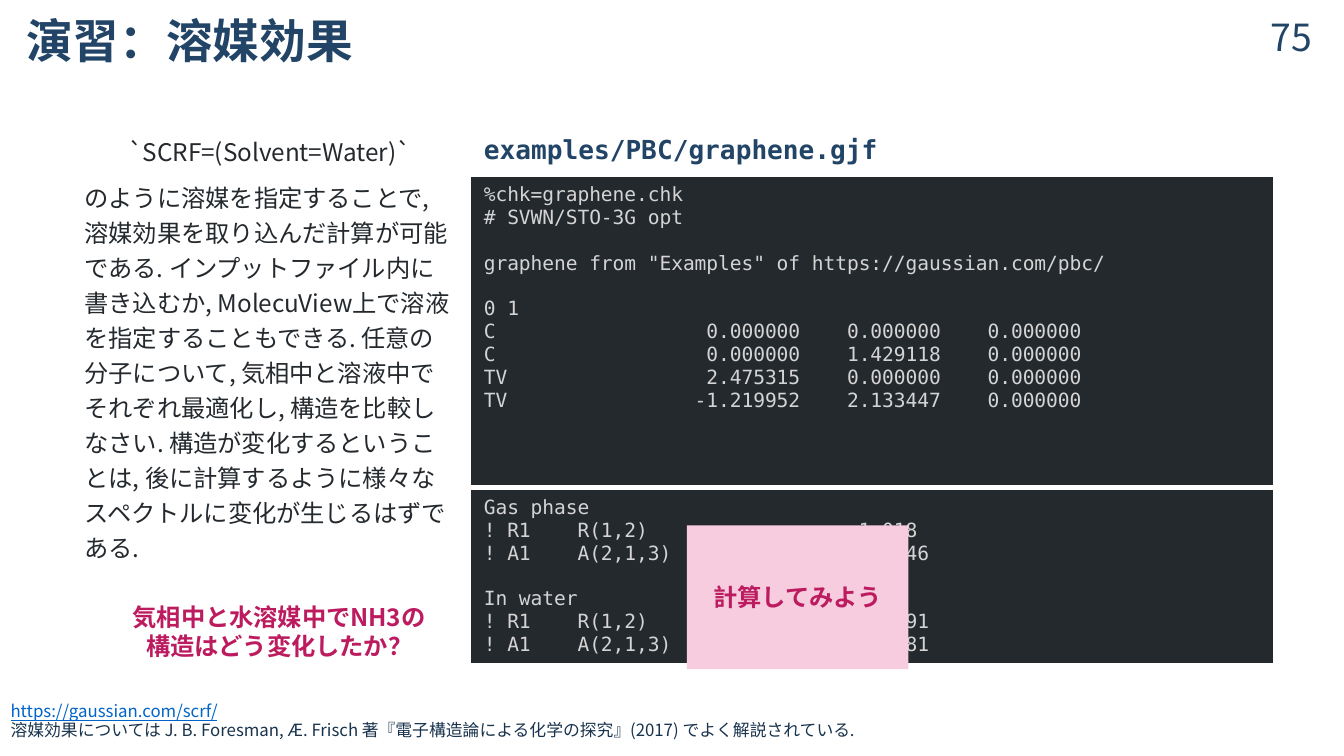
from dataclasses import dataclass

from lxml import etree
from pptx import Presentation
from pptx.dml.color import RGBColor
from pptx.enum.shapes import MSO_SHAPE
from pptx.enum.text import MSO_ANCHOR, PP_ALIGN
from pptx.oxml.ns import qn
from pptx.util import Cm, Pt

TOP, MIDDLE, BOTTOM = MSO_ANCHOR.TOP, MSO_ANCHOR.MIDDLE, MSO_ANCHOR.BOTTOM
LEFT, CENTER = PP_ALIGN.LEFT, PP_ALIGN.CENTER
RECTANGLE = MSO_SHAPE.RECTANGLE

SANS, MONO = "Noto Sans CJK JP", "DejaVu Sans Mono"
COLORS = {
    "heading": "224466", "body": "24292E", "link": "0064C8", "note": "19334D",
    "accent": "BC1C5F", "cover": "F7CCDE", "code": "D4D4D4",
    "code_back": "24292E", "border": "FFFFFF",
}


@dataclass(frozen=True)
class Style:
    size: float
    color: str
    face: str = SANS
    bold: bool = False
    underline: bool = False
    align: PP_ALIGN = LEFT
    spacing: float | Pt | None = None
    after: float = 0


@dataclass(frozen=True)
class Line:
    text: str
    style: Style


@dataclass(frozen=True)
class Box:
    area: tuple[float, float, float, float]  # left, top, width, height in cm
    lines: list[Line]
    anchor: MSO_ANCHOR = MIDDLE
    margins: tuple[float, float, float, float] = (0.25, 0.13, 0.25, 0.13)
    fill: str | None = None


@dataclass(frozen=True)
class Row:
    height: float
    lines: list[Line]
    anchor: MSO_ANCHOR = MIDDLE
    fill: str | None = None
    borders: tuple[tuple[str, float], ...] = ()


def rgb(key: str) -> RGBColor:
    return RGBColor.from_string(COLORS[key])


def write(frame, lines: list[Line]) -> None:
    for index, line in enumerate(lines):
        paragraph = frame.add_paragraph() if index else frame.paragraphs[0]
        style = line.style
        paragraph.alignment = style.align
        paragraph.line_spacing = style.spacing
        paragraph.space_after = Pt(style.after)
        font = paragraph.font
        font.size, font.bold, font.underline = Pt(style.size), style.bold, style.underline
        font.color.rgb = rgb(style.color)
        font.name = style.face
        east_asian = etree.SubElement(paragraph._p.pPr.find(qn("a:defRPr")), qn("a:ea"))
        east_asian.set("typeface", style.face)
        if line.text:
            paragraph.add_run().text = line.text
        else:  # an empty code line keeps the code's line height
            end = etree.SubElement(paragraph._p, qn("a:endParaRPr"), sz=str(int(style.size * 100)))
            etree.SubElement(end, qn("a:latin"), typeface=style.face)


def draw_box(slide, box: Box) -> None:
    area = [Cm(value) for value in box.area]
    if box.fill:
        shape = slide.shapes.add_shape(RECTANGLE, *area)
        shape.shadow.inherit = False
        shape.fill.solid()
        shape.fill.fore_color.rgb = rgb(box.fill)
        shape.line.fill.background()
    else:
        shape = slide.shapes.add_textbox(*area)
    frame = shape.text_frame
    frame.word_wrap = True
    frame.vertical_anchor = box.anchor
    (frame.margin_left, frame.margin_top,
     frame.margin_right, frame.margin_bottom) = [Cm(value) for value in box.margins]
    write(frame, box.lines)


def set_borders(cell, borders: tuple[tuple[str, float], ...]) -> None:
    properties = cell._tc.get_or_add_tcPr()
    for index, (side, width) in enumerate(borders):
        border = etree.Element(qn(f"a:ln{side}"), w=str(Pt(width)))
        fill = etree.SubElement(border, qn("a:solidFill"))
        etree.SubElement(fill, qn("a:srgbClr"), val=COLORS["border"])
        properties.insert(index, border)


def draw_table(slide, left: float, top: float, width: float, rows: list[Row]) -> None:
    height = sum(row.height for row in rows)
    table = slide.shapes.add_table(len(rows), 1, Cm(left), Cm(top), Cm(width), Cm(height)).table
    table.first_row = table.horz_banding = False
    for index, row in enumerate(rows):
        table.rows[index].height = Cm(row.height)
        cell = table.cell(index, 0)
        cell.vertical_anchor = row.anchor
        if row.fill:
            cell.fill.solid()
            cell.fill.fore_color.rgb = rgb(row.fill)
        else:
            cell.fill.background()
        set_borders(cell, row.borders)
        write(cell.text_frame, row.lines)


def code_lines(code: str) -> list[Line]:
    style = Style(10.5, "code", MONO)
    return [Line(text, style) for text in code.strip("\n").split("\n")]


INPUT_FILE = """
%chk=graphene.chk
# SVWN/STO-3G opt

graphene from "Examples" of https://gaussian.com/pbc/

0 1
C                  0.000000    0.000000    0.000000
C                  0.000000    1.429118    0.000000
TV                 2.475315    0.000000    0.000000
TV                -1.219952    2.133447    0.000000
"""
RESULTS = """
Gas phase
! R1    R(1,2)                  1.018
! A1    A(2,1,3)              105.7446

In water
! R1    R(1,2)                  1.0191
! A1    A(2,1,3)              104.7781
"""
EXPLANATION = (
    "のように溶媒を指定することで, 溶媒効果を取り込んだ計算が可能である. "
    "インプットファイル内に書き込むか, MolecuView上で溶液を指定することもできる. "
    "任意の分子について, 気相中と溶液中でそれぞれ最適化し, 構造を比較しなさい. "
    "構造が変化するということは, 後に計算するように様々なスペクトルに変化が生じるはずである."
)
ACCENT = Style(13, "accent", bold=True, align=CENTER)

# Explanation, footnote, title and page number
TEXTS = [
    Box((1.3, 2.34, 7.59, 8.48), [
        Line("`SCRF=(Solvent=Water)`", Style(13, "body", align=CENTER, spacing=1.2, after=6)),
        Line(EXPLANATION, Style(13, "body", spacing=1.2, after=6)),
    ], TOP, (0.3, 0.15, 0.3, 0.15)),
    Box((0, 12.98, 25.4, 1.3), [
        Line("https://gaussian.com/scrf/", Style(9, "link", underline=True, spacing=Pt(10))),
        Line("溶媒効果については J. B. Foresman, Æ. Frisch 著『電子構造論による化学の探究』"
             "(2017) でよく解説されている.", Style(9, "note", spacing=Pt(10))),
    ], MIDDLE, (0.2, 0.2, 0.2, 0.2)),
    Box((0, 0, 25.4, 1.3), [Line("演習：溶媒効果", Style(25, "heading", bold=True, spacing=0.9))],
        BOTTOM, (0.5, 0, 0, 0)),
    Box((23.6, 0, 1.6, 1.3), [Line("75", Style(20, "heading", align=CENTER))],
        MIDDLE, (0, 0.1, 0, 0)),
]

# File name, input file and results
CODE_ROWS = [
    Row(1, [Line("examples/PBC/graphene.gjf", Style(14, "heading", MONO, bold=True))]),
    Row(5.87, code_lines(INPUT_FILE), TOP, "code_back", (("L", 1), ("R", 1), ("B", 3))),
    Row(3.23, code_lines(RESULTS), MIDDLE, "code_back",
        (("L", 1), ("R", 1), ("T", 3), ("B", 2.25))),
]

# Question, and the cover over the results
QUESTION = [
    Box((1.63, 11.25, 7.29, 1.37), [
        Line("気相中と水溶媒中でNH3の", ACCENT),
        Line("構造はどう変化したか？", ACCENT),
    ]),
    Box((12.98, 9.93, 4.19, 2.72), [Line("計算してみよう", ACCENT)], fill="cover"),
]


def main() -> None:
    presentation = Presentation()
    presentation.slide_width, presentation.slide_height = Cm(25.4), Cm(14.29)
    slide = presentation.slides.add_slide(presentation.slide_layouts[6])
    for box in TEXTS:
        draw_box(slide, box)
    draw_table(slide, 8.89, 2.34, 15.19, CODE_ROWS)
    for box in QUESTION:
        draw_box(slide, box)
    presentation.save("out.pptx")


if __name__ == "__main__":
    main()
